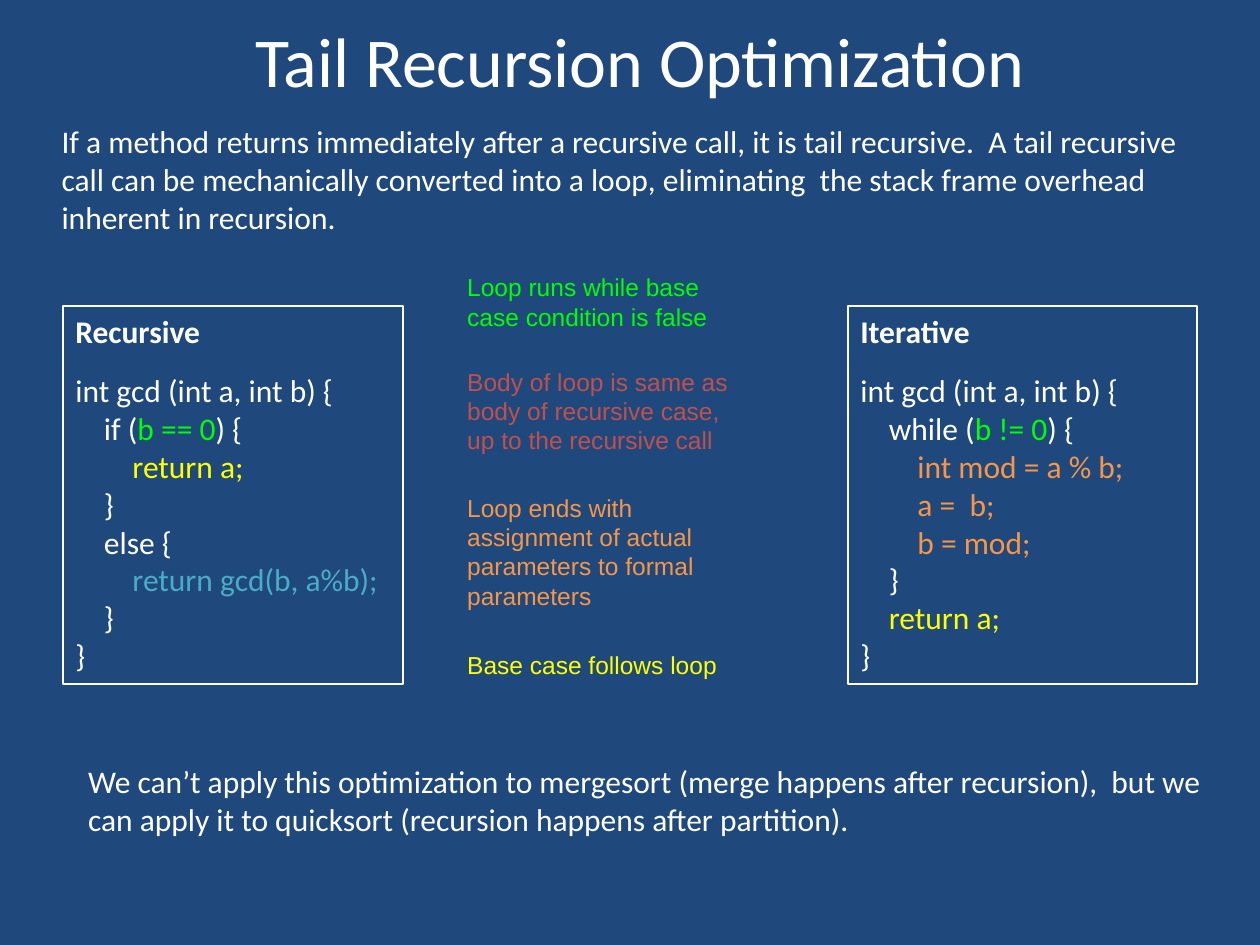
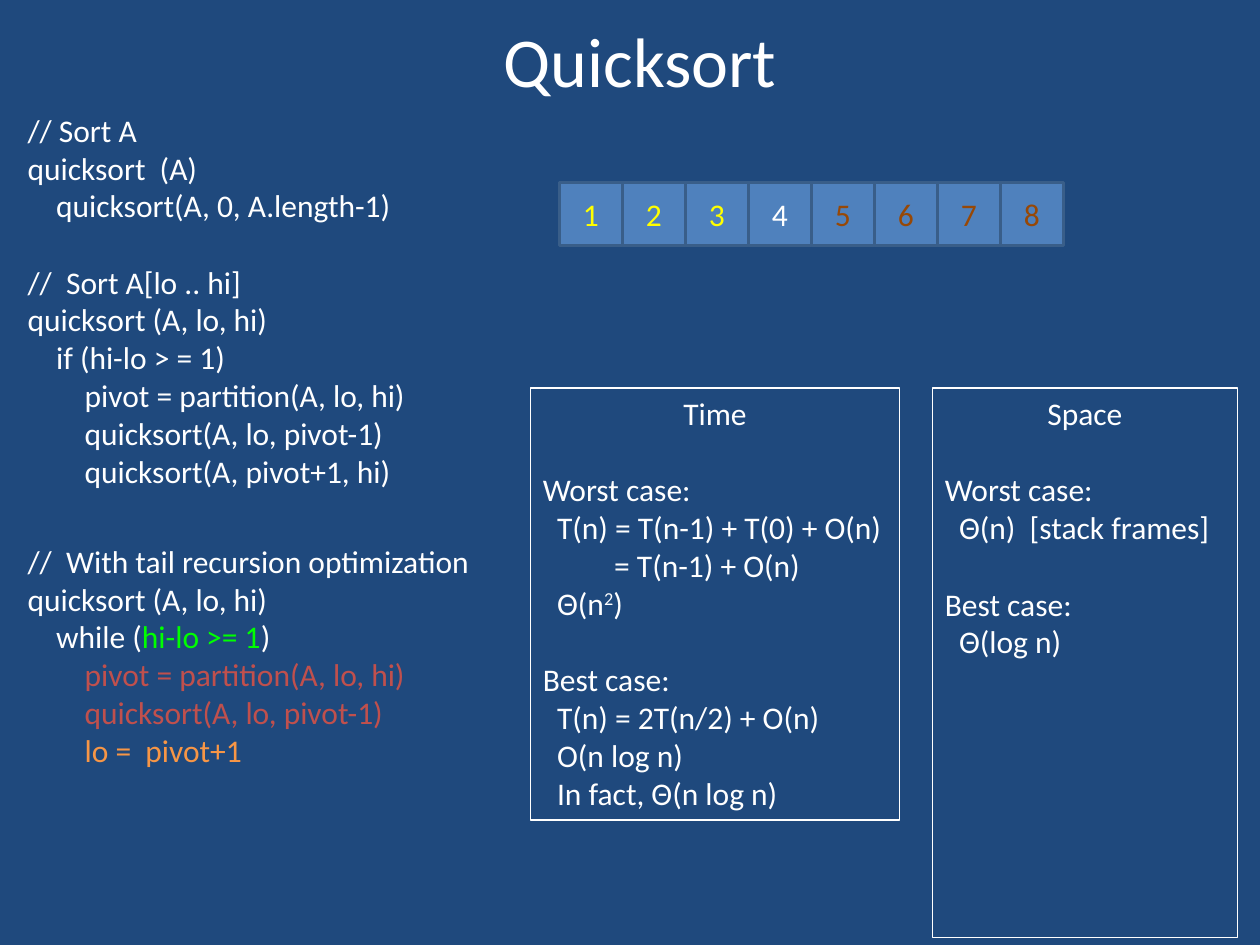
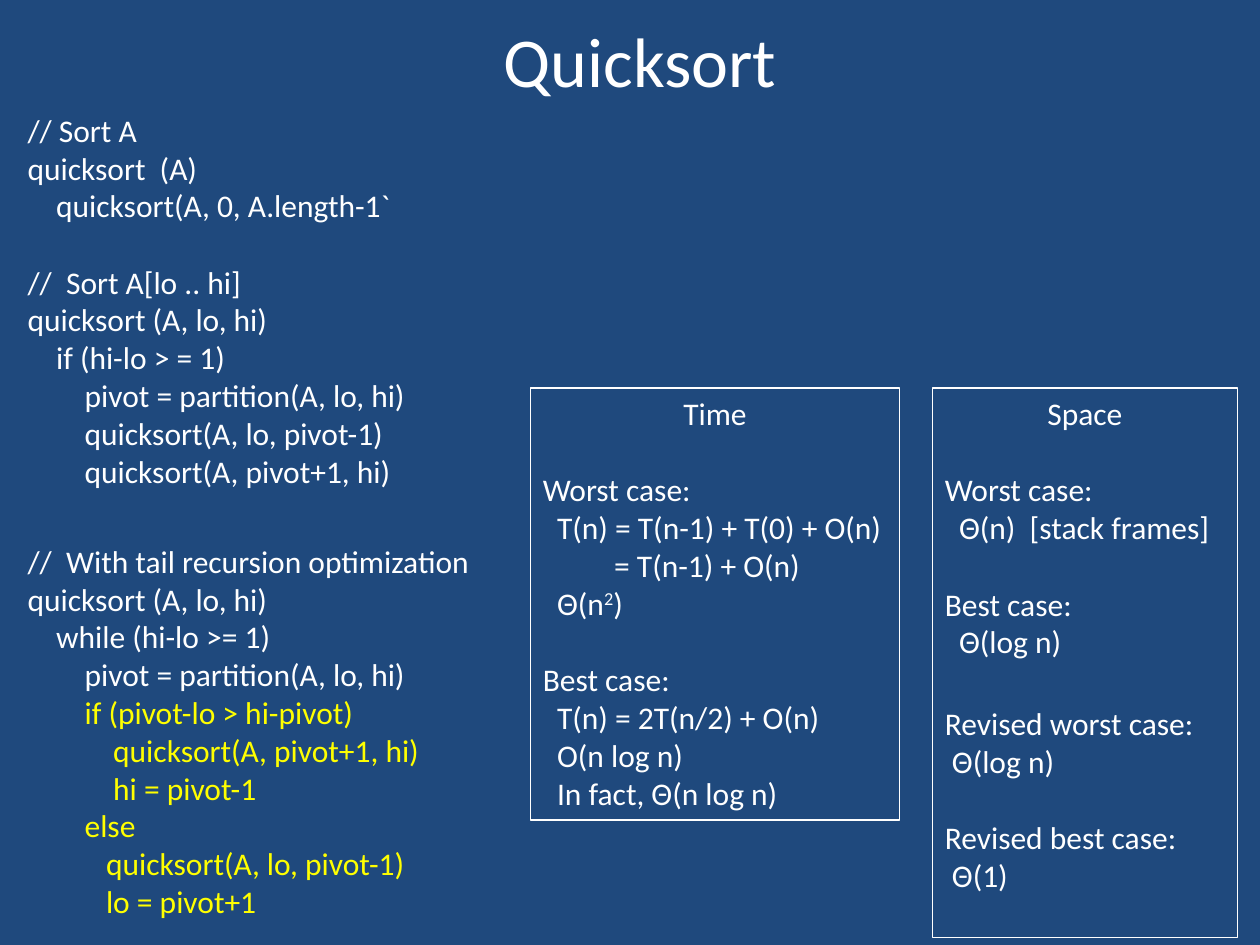
"""Build three slides on tail recursion optimization and quicksort."""
from dataclasses import dataclass
from typing import Any, Optional

from pptx import Presentation
from pptx import util as u
from pptx.dml.color import RGBColor
from pptx.enum import shapes, text


@dataclass(frozen=True)
class Theme:
    """Colours, fonts and type sizes of the deck."""
    background: str = "1F497D"
    white: str = "FFFFFF"
    condition: str = "00FF00"
    base_case: str = "FFFF00"
    loop_body: str = "C0504D"
    assignment: str = "F79646"
    recursive_call: str = "4BACC6"
    high_half: str = "974806"
    cell_fill: str = "4F81BD"
    cell_line: str = "395E89"
    body_font: str = "Calibri"
    note_font: str = "Arial"
    title_size: int = 40
    body_size: int = 18
    note_size: int = 14
    half_gap: int = 10
    line_height: float = 1.22
    space_width: float = 0.17 / 3


THEME = Theme()


@dataclass(frozen=True)
class Phrase:
    """A stretch of text in one format."""
    wording: str
    color: str = THEME.white
    bold: bool = False
    superscript: bool = False


@dataclass(frozen=True)
class Line:
    """A paragraph, indented by a count of spaces, below a gap in points."""
    phrases: tuple[Phrase, ...]
    indent: int = 0
    gap: int = 0
    centred: bool = False


@dataclass(frozen=True)
class Block:
    """A passage of text and its place in inches."""
    left: float
    top: float
    width: float
    height: float
    lines: tuple[Line, ...]
    framed: bool = False
    inset: float = 0.05
    font: str = THEME.body_font
    size: int = THEME.body_size


def line(*phrases: str | Phrase, indent: int = 0, gap: int = 0,
         color: str = THEME.white, centred: bool = False) -> Line:
    """Make a line, giving plain strings the line's colour."""
    made = tuple(Phrase(p, color) if isinstance(p, str) else p for p in phrases)
    return Line(made, indent, gap, centred)


def apply_format(target: Any, values: dict[str, Any]) -> None:
    """Set each named attribute on the target."""
    for name, value in values.items():
        setattr(target, name, value)


def write_lines(frame: Any, lines: tuple[Line, ...], font: str, size: int) -> None:
    """Fill a text frame with formatted lines."""
    for index, entry in enumerate(lines):
        paragraph = frame.add_paragraph() if index else frame.paragraphs[0]
        apply_format(paragraph, {
            "alignment": text.PP_ALIGN.CENTER if entry.centred else text.PP_ALIGN.LEFT,
            "space_before": u.Pt(entry.gap * THEME.line_height),
        })
        if entry.indent:
            margin = u.Inches(entry.indent * THEME.space_width)
            paragraph._p.get_or_add_pPr().set("marL", str(margin))
        for phrase in entry.phrases:
            run = paragraph.add_run()
            run.text = phrase.wording
            apply_format(run.font, {"name": font, "size": u.Pt(size), "bold": phrase.bold})
            run.font.color.rgb = RGBColor.from_string(phrase.color)
            if phrase.superscript:
                run._r.get_or_add_rPr().set("baseline", "30000")


def set_frame(frame: Any, inset: float, anchor: Any) -> None:
    """Set the wrapping, insets and anchor of a text frame."""
    apply_format(frame, {
        "word_wrap": True, "auto_size": text.MSO_AUTO_SIZE.NONE, "vertical_anchor": anchor,
        "margin_left": u.Inches(0.1), "margin_right": u.Inches(0.1),
        "margin_top": u.Inches(inset), "margin_bottom": u.Inches(inset),
    })


def add_rectangle(holder: Any, place: list[Any], outline: str, weight: float,
                  fill: Optional[str] = None) -> Any:
    """Add a flat rectangle to a slide's or group's shapes."""
    rectangle = holder.add_shape(shapes.MSO_SHAPE.RECTANGLE, *place)
    rectangle.shadow.inherit = False
    if fill:
        rectangle.fill.solid()
        rectangle.fill.fore_color.rgb = RGBColor.from_string(fill)
    else:
        rectangle.fill.background()
    rectangle.line.color.rgb = RGBColor.from_string(outline)
    rectangle.line.width = u.Pt(weight)
    return rectangle


def add_block(slide: Any, block: Block) -> None:
    """Draw a block, with a thin frame if it asks for one."""
    place = [u.Inches(n) for n in (block.left, block.top, block.width, block.height)]
    if block.framed:
        box = add_rectangle(slide.shapes, place, THEME.white, 0.75)
    else:
        box = slide.shapes.add_textbox(*place)
    set_frame(box.text_frame, block.inset, text.MSO_ANCHOR.TOP)
    write_lines(box.text_frame, block.lines, block.font, block.size)


def add_array(slide: Any) -> None:
    """Draw the sorted array, coloured by side of the pivot."""
    array, side, pivot = slide.shapes.add_group_shape(), 0.5, 4
    for value in range(1, 9):
        left = 4.44 + (value - 1) * side
        place = [u.Inches(n) for n in (left, 1.45, side, side)]
        cell = add_rectangle(array.shapes, place, THEME.cell_line, 2, THEME.cell_fill)
        color = (THEME.base_case if value < pivot
                 else THEME.high_half if value > pivot else THEME.white)
        set_frame(cell.text_frame, 0.05, text.MSO_ANCHOR.MIDDLE)
        write_lines(cell.text_frame, (line(str(value), color=color, centred=True),),
                    THEME.body_font, THEME.body_size)


def add_slide(deck: Any, heading: str, blocks: list[Block]) -> Any:
    """Add a titled slide with its blocks."""
    slide = deck.slides.add_slide(deck.slide_layouts[5])
    title = slide.shapes.title
    apply_format(title, {"left": u.Inches(0.58), "top": u.Inches(0.08),
                         "width": u.Inches(9), "height": u.Inches(0.78)})
    set_frame(title.text_frame, 0.05, text.MSO_ANCHOR.MIDDLE)
    write_lines(title.text_frame, (line(heading, centred=True),),
                THEME.body_font, THEME.title_size)
    for block in blocks:
        add_block(slide, block)
    return slide


def gcd_panel(left: float, width: float, heading: str, *body: Line) -> Block:
    """Make a framed version of the gcd method."""
    return Block(left, 2.43, width, 3, (
        line(Phrase(heading, bold=True)),
        line("int gcd (int a, int b) {", gap=THEME.half_gap),
        *body,
        line("}"),
    ), framed=True)


def note(top: float, width: float, height: float, wording: str, color: str) -> Block:
    """Make a coloured note between the two methods."""
    return Block(3.61, top, width, height, (line(wording, color=color),),
                 inset=0.1, font=THEME.note_font, size=THEME.note_size)


def tail_recursion_blocks() -> list[Block]:
    """List the blocks that compare recursion with iteration."""
    t = THEME
    return [
        Block(0.39, 0.92, 9.18, 1.16, (line(
            "If a method returns immediately after a recursive call, it is tail recursive.  "
            "A tail recursive call can be mechanically converted into a loop, eliminating  "
            "the stack frame overhead inherent in recursion."),)),
        gcd_panel(
            0.5, 2.7, "Recursive",
            line("if (", Phrase("b == 0", t.condition), ") {", indent=4),
            line("return a;", indent=8, color=t.base_case),
            line("}", indent=4),
            line("else {", indent=4),
            line("return gcd(b, a%b);", indent=8, color=t.recursive_call),
            line("}", indent=4)),
        gcd_panel(
            6.73, 2.77, "Iterative",
            line("while (", Phrase("b != 0", t.condition), ") {", indent=4),
            *(line(step, indent=8, color=t.assignment)
              for step in ("int mod = a % b;", "a =  b;", "b = mod;")),
            line("}", indent=4),
            line("return a;", indent=4, color=t.base_case)),
        Block(0.6, 6, 9.18, 0.71, (line(
            "We can’t apply this optimization to mergesort (merge happens after recursion),  "
            "but we can apply it to quicksort (recursion happens after partition)."),)),
        note(5.06, 2.24, 0.49, "Base case follows loop", t.base_case),
        note(2.06, 2.24, 0.71, "Loop runs while base case condition is false", t.condition),
        note(2.81, 2.41, 0.84, "Body of loop is same as body of recursive case, "
             "up to the recursive call", t.loop_body),
        note(3.81, 2.41, 1.16, "Loop ends with assignment of actual parameters "
             "to formal parameters", t.assignment),
    ]


def quicksort_blocks(first_call: str, *loop: Line) -> list[Block]:
    """List the quicksort code and its costs, given the optimized loop."""
    gap = THEME.body_size
    return [
        Block(0.12, 0.83, 3.75, 3.19, (
            line("// Sort A"),
            line("quicksort  (A)"),
            line(first_call, indent=4),
            line("//  Sort A[lo .. hi]", gap=gap),
            line("quicksort (A, lo, hi)"),
            line("if (hi-lo > = 1)", indent=4),
            line("pivot = partition(A, lo, hi)", indent=8),
            line("quicksort(A, lo, pivot-1)", indent=8),
            line("quicksort(A, pivot+1, hi)", indent=8))),
        Block(4.21, 3.08, 2.93, 3.43, (
            line("Time", centred=True),
            line("Worst case:", gap=gap),
            line("T(n) = T(n-1) + T(0) + O(n)", indent=2),
            line("= T(n-1) + O(n)", indent=10),
            line("Θ(n", Phrase("2", superscript=True), ")", indent=2),
            line("Best case:", gap=gap),
            line("T(n) = 2T(n/2) + O(n)", indent=2),
            line("O(n log n)", indent=2),
            line("In fact, Θ(n log n)", indent=2)), framed=True),
        Block(7.4, 3.08, 2.42, 4.36, (
            line("Space", centred=True),
            line("Worst case:", gap=gap),
            line("Θ(n)  [stack frames]", indent=2),
            line("Best case:", gap=gap),
            line("Θ(log n)", indent=2)), framed=True),
        Block(0.12, 4.2, 3.82, 3.24, (
            line("//  With tail recursion optimization"),
            line("quicksort (A, lo, hi)"),
            *loop), inset=0.1),
    ]


def main() -> None:
    """Build and save the deck."""
    t = THEME
    deck = Presentation()
    apply_format(deck, {"slide_width": u.Inches(10), "slide_height": u.Inches(7.5)})
    backdrop = deck.slide_master.background.fill
    backdrop.solid()
    backdrop.fore_color.rgb = RGBColor.from_string(t.background)

    add_slide(deck, "Tail Recursion Optimization", tail_recursion_blocks())

    sorted_slide = add_slide(deck, "Quicksort", quicksort_blocks(
        "quicksort(A, 0, A.length-1)",
        line("while (", Phrase("hi-lo >= 1", t.condition), ")", indent=4),
        line("pivot = partition(A, lo, hi)", indent=8, color=t.loop_body),
        line("quicksort(A, lo, pivot-1)", indent=8, color=t.loop_body),
        line("lo =  pivot+1", indent=8, color=t.assignment)))
    add_array(sorted_slide)

    smaller_half_first = (
        (8, "if (pivot-lo > hi-pivot)"),
        (12, "quicksort(A, pivot+1, hi)"),
        (12, "hi = pivot-1"),
        (8, "else"),
        (11, "quicksort(A, lo, pivot-1)"),
        (11, "lo = pivot+1"),
    )
    revised_space = Block(7.4, 5.49, 2.42, 1.74, (
        line("Revised worst case:"),
        line("Θ(log n)", indent=1),
        line("Revised best case:", gap=t.body_size),
        line("Θ(1)", indent=1)), inset=0.1)
    add_slide(deck, "Quicksort", quicksort_blocks(
        "quicksort(A, 0, A.length-1`",
        line("while (hi-lo >= 1)", indent=4),
        line("pivot = partition(A, lo, hi)", indent=8),
        *(line(step, indent=indent, color=t.base_case)
          for indent, step in smaller_half_first)) + [revised_space])

    deck.save("out.pptx")


if __name__ == "__main__":
    main()
